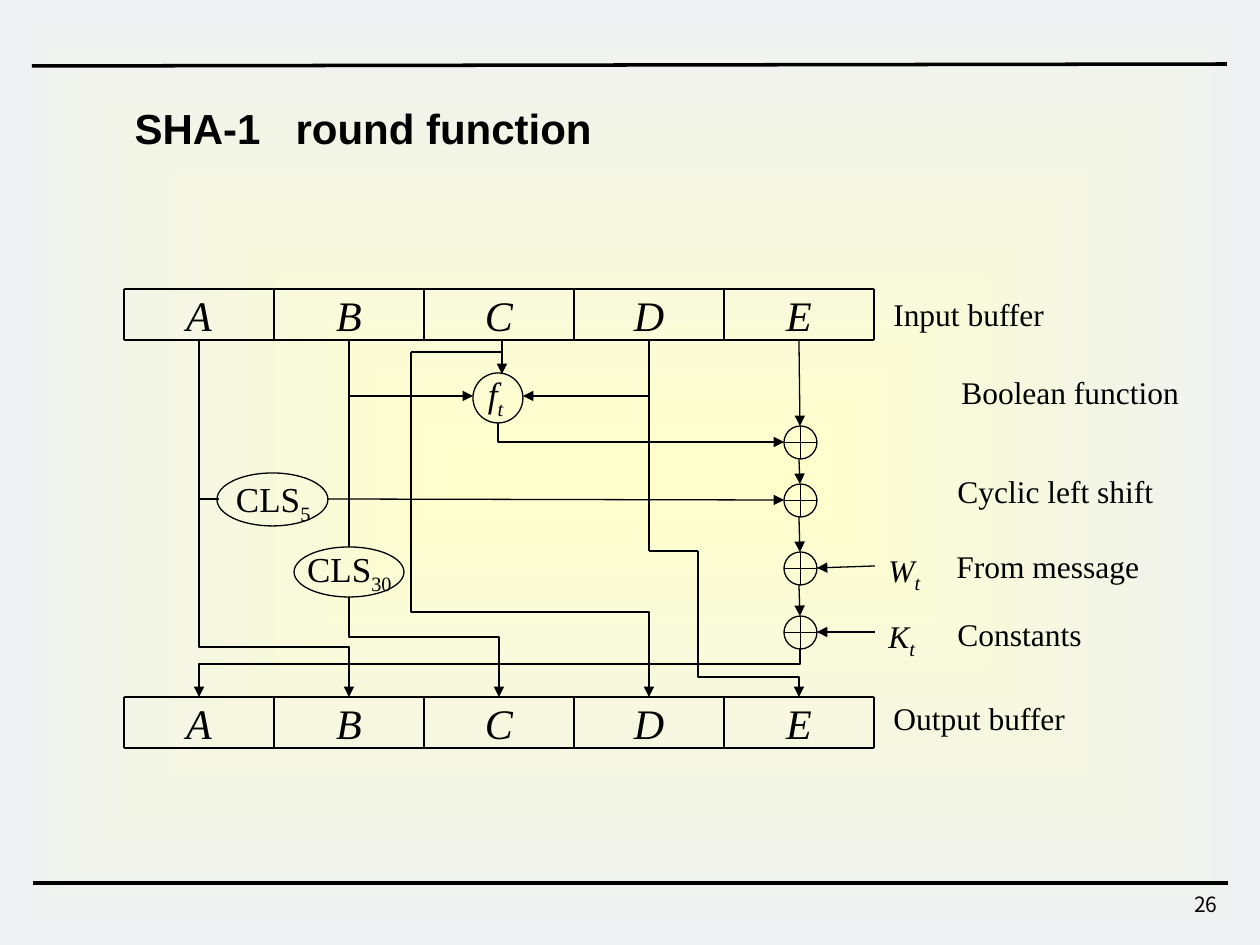
from lxml.etree import SubElement
from pptx import Presentation
from pptx.dml.color import RGBColor
from pptx.enum.shapes import MSO_CONNECTOR, MSO_SHAPE
from pptx.enum.text import MSO_ANCHOR, MSO_AUTO_SIZE, PP_ALIGN
from pptx.oxml.ns import qn
from pptx.util import Pt

PX = 7257
BLACK = RGBColor(0x00, 0x00, 0x00)
CREAM = RGBColor(0xFF, 0xFF, 0xCC)
MIST = RGBColor(0xEE, 0xF1, 0xF2)
SERIF = "Times New Roman"

deck = Presentation()
deck.slide_width, deck.slide_height = 1260 * PX, 945 * PX
page = deck.slides.add_slide(deck.slide_layouts[5])


def add_text(text, left, top, width, height, size, subscript="", italic=False,
             font=SERIF, align=PP_ALIGN.LEFT, anchor=MSO_ANCHOR.TOP, inset=True, wrap=False):
    box = page.shapes.add_textbox(left * PX, top * PX, width * PX, height * PX)
    frame = box.text_frame
    frame.word_wrap = wrap
    frame.vertical_anchor = anchor
    if not inset:
        frame.margin_left = frame.margin_right = frame.margin_top = frame.margin_bottom = 0
    para = frame.paragraphs[0]
    para.alignment = align
    para.font.name = font
    para.font.size = Pt(size)
    para.font.italic = italic
    para.font.color.rgb = BLACK
    para.add_run().text = text
    if subscript:
        span = para.add_run()
        span.text = subscript
        span.font.size = Pt(20)
        span.font._element.set("baseline", "-25000")


def connect(x1, y1, x2, y2, arrow=False, width=0.75, bend_y=None):
    if bend_y is None:
        line = page.shapes.add_connector(MSO_CONNECTOR.STRAIGHT, x1 * PX, y1 * PX, x2 * PX, y2 * PX)
    else:
        across, down = abs(x2 - x1) * PX, (y2 - y1) * PX
        left = ((x1 + x2) * PX - down) // 2
        top = ((y1 + y2) * PX - across) // 2
        line = page.shapes.add_connector(MSO_CONNECTOR.ELBOW, left, top, left + down, top + across)
        frame = line._element.spPr.find(qn("a:xfrm"))
        frame.set("rot", "16200000" if x2 > x1 else "5400000")
        if x2 > x1:
            frame.set("flipH", "1")
        geometry = line._element.spPr.find(qn("a:prstGeom"))
        if bend_y == y2:
            geometry.set("prst", "bentConnector2")
        else:
            ratio = round(100000 * (bend_y - y1) / (y2 - y1))
            guides = geometry.find(qn("a:avLst"))
            SubElement(guides, qn("a:gd"), name="adj1", fmla=f"val {ratio}")
    line.line.color.rgb = BLACK
    line.line.width = Pt(width)
    if arrow:
        SubElement(line.line._get_or_add_ln(), qn("a:tailEnd"), type="triangle")
    SubElement(line._element.spPr, qn("a:effectLst"))


fill = page.background.fill
fill.gradient()
for stop, color in zip(fill.gradient_stops, (CREAM, MIST)):
    stop.color.rgb = color
gradient = page.background._cSld.find(".//" + qn("a:gradFill"))
gradient.remove(gradient.find(qn("a:lin")))
shade = SubElement(gradient, qn("a:path"), path="rect")
SubElement(shade, qn("a:fillToRect"), l="50000", t="50000", r="50000", b="50000")

connect(32, 66, 1227, 64, width=2)
connect(33, 883, 1228, 883, width=2)
add_text("26", 968, 885, 262, 42, 12, font="Noto Sans CJK KR", align=PP_ALIGN.RIGHT, wrap=True)

title = page.shapes.title
title.left, title.top, title.width, title.height = 122 * PX, 96 * PX, 505 * PX, 63 * PX
title.text_frame.text = "SHA-1\tround function"
title.text_frame.auto_size = MSO_AUTO_SIZE.NONE
title.text_frame.vertical_anchor = MSO_ANCHOR.TOP
para = title.text_frame.paragraphs[0]
para.alignment = PP_ALIGN.LEFT
tabs = SubElement(para._p.get_or_add_pPr(), qn("a:tabLst"))
SubElement(tabs, qn("a:tab"), pos=str(161 * PX), algn="l")
para.font.name = "Arial"
para.font.size = Pt(24)
para.font.bold = True
para.font.color.rgb = BLACK

BUFFER_LEFT, CELL_WIDTH, CELL_HEIGHT = 124, 150, 51
INPUT_TOP, OUTPUT_TOP = 289, 697
INPUT_BOTTOM = INPUT_TOP + CELL_HEIGHT
REGISTERS = "ABCDE"
buffer_right = BUFFER_LEFT + CELL_WIDTH * len(REGISTERS)
for top in (INPUT_TOP, OUTPUT_TOP):
    for index, register in enumerate(REGISTERS):
        add_text(register, BUFFER_LEFT + index * CELL_WIDTH, top, CELL_WIDTH, CELL_HEIGHT, 24,
                 italic=True, align=PP_ALIGN.CENTER, anchor=MSO_ANCHOR.MIDDLE, wrap=True)
    for y in (top, top + CELL_HEIGHT):
        connect(BUFFER_LEFT, y, buffer_right, y, width=1)
    for index in range(len(REGISTERS) + 1):
        x = BUFFER_LEFT + index * CELL_WIDTH
        connect(x, top, x, top + CELL_HEIGHT, width=1)

ADDER_SIZE = 33
ADDER_TOPS = (426, 484, 552, 616)
nodes = [(MSO_SHAPE.OVAL, 473, 373, 50, 50),
         (MSO_SHAPE.OVAL, 217, 473, 111, 53),
         (MSO_SHAPE.OVAL, 294, 547, 110, 50)]
nodes += [(MSO_SHAPE.FLOWCHART_OR, 784, top, ADDER_SIZE, ADDER_SIZE) for top in ADDER_TOPS]
for kind, left, top, width, height in nodes:
    node = page.shapes.add_shape(kind, left * PX, top * PX, width * PX, height * PX)
    node.shadow.inherit = False
    node.fill.background()
    node.line.color.rgb = BLACK
    node.line.width = Pt(0.75)

add_text("f", 488, 373, 34, 48, 20, "t", italic=True, inset=False, wrap=True)
add_text("CLS", 236, 478, 84, 48, 20, "5", inset=False, wrap=True)
add_text("CLS", 307, 548, 94, 48, 20, "30", inset=False, wrap=True)

A_X, B_X, C_X, D_X, E_X = (BUFFER_LEFT + CELL_WIDTH * index + CELL_WIDTH // 2 for index in range(5))
connect(A_X, INPUT_BOTTOM, B_X, OUTPUT_TOP, True, bend_y=647)
connect(A_X, 499, 219, 499)
connect(328, 499, 784, 500, True)

connect(B_X, INPUT_BOTTOM, B_X, 547)
connect(B_X, 396, 473, 396, True)
connect(B_X, 597, C_X, OUTPUT_TOP, True, bend_y=637)

connect(502, 341, 502, 374, True)
connect(411, 352, 502, 352)
connect(411, 352, D_X, OUTPUT_TOP, True, bend_y=612)
connect(498, 423, 784, 442, True, bend_y=442)

connect(D_X, 341, D_X, 551)
connect(D_X, 396, 523, 396, True)
connect(D_X, 551, 698, 551)
connect(698, 551, E_X, OUTPUT_TOP, True, bend_y=677)

start_y = INPUT_BOTTOM
for top in ADDER_TOPS:
    connect(E_X, start_y, 800, top, True)
    start_y = top + ADDER_SIZE
connect(800, start_y, A_X, OUTPUT_TOP, True, bend_y=664)

connect(875, 566, 817, 568, True)
connect(875, 632, 817, 632, True)
add_text("W", 876, 541, 57, 60, 18, "t", italic=True)
add_text("K", 876, 607, 52, 60, 18, "t", italic=True)

for label, left, top, width in (("Input buffer", 881, 289, 176),
                                ("Output buffer", 881, 693, 198),
                                ("Boolean function", 949, 367, 243),
                                ("Cyclic left shift", 945, 466, 221),
                                ("From message", 944, 541, 208),
                                ("Constants", 945, 609, 158)):
    add_text(label, left, top, width, 50, 18)

deck.save("out.pptx")
